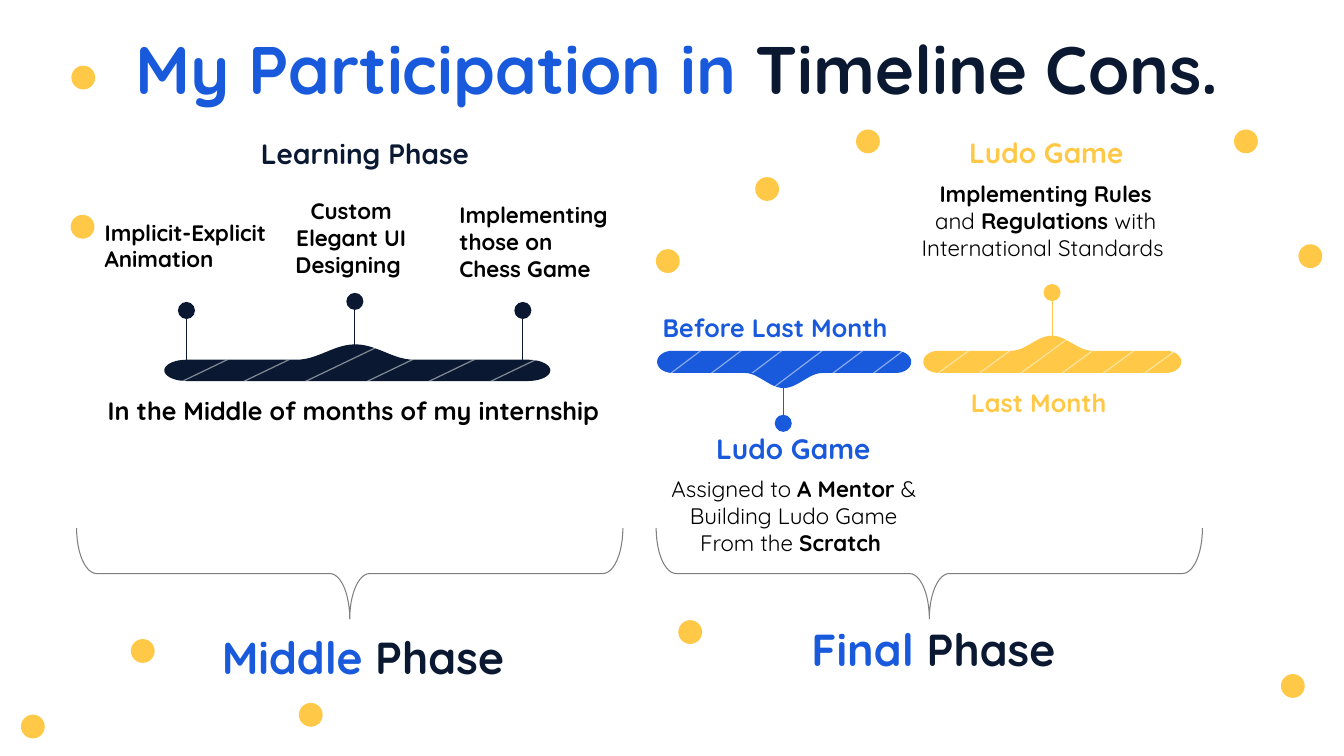
from math import cos, pi, sin

from lxml.etree import SubElement
from pptx import Presentation
from pptx.dml.color import RGBColor
from pptx.enum.shapes import MSO_CONNECTOR as CONN, MSO_SHAPE as SHAPE
from pptx.enum.text import MSO_AUTO_SIZE as FIT, PP_ALIGN as ALIGN
from pptx.oxml.ns import qn
from pptx.util import Pt

BLUE = RGBColor(0x18, 0x5A, 0xDB)
NAVY = RGBColor(0x0A, 0x19, 0x31)
YELLOW = RGBColor(0xFF, 0xC9, 0x47)
BLACK = RGBColor(0, 0, 0)
WHITE = RGBColor(0xFF, 0xFF, 0xFF)
GRAY = RGBColor(0x7F, 0x7F, 0x7F)

FONT = "Quicksand"
DOTS = [(59, 162), (620, 101), (59.5, 55.4), (102, 465), (222, 510.6), (890, 101),
        (548, 135), (936, 183), (923.5, 490), (23.5, 519), (493, 451.5), (477, 186.5)]
PINS = [(559.5, 265.7, 302.4, BLUE), (751.5, 239.8, 209, YELLOW), (253.5, 252, 215.3, NAVY),
        (133.2, 257.8, 221.8, NAVY), (373.5, 257.8, 221.8, NAVY)]


def add_text(s, box, size, runs, align=ALIGN.CENTER, inset=3.6, fit=FIT.SHAPE_TO_FIT_TEXT):
    tf = s.shapes.add_textbox(*map(Pt, box)).text_frame
    tf.word_wrap = True
    tf.auto_size = fit
    tf.margin_top = tf.margin_bottom = Pt(inset)
    p = tf.paragraphs[0]
    p.alignment = align
    for text, color, bold in runs:
        r = p.add_run()
        r.text = text
        r.font.name = FONT
        r.font.size = Pt(size)
        r.font.bold = bold
        r.font.color.rgb = color


def add_body(s, box, runs):
    add_text(s, box, 16, [(text, BLACK, bold) for text, bold in runs], fit=FIT.NONE)


def add_side_note(s, box, text):
    add_text(s, box, 16, [(text, BLACK, True)], ALIGN.LEFT, 7.2)


def paint(sp, color):
    sp.shadow.inherit = False
    sp.fill.solid()
    sp.fill.fore_color.rgb = color
    sp.line.fill.background()


def add_dot(s, x, y, size, color):
    sp = s.shapes.add_shape(SHAPE.OVAL, Pt(x - size / 2), Pt(y - size / 2), Pt(size), Pt(size))
    paint(sp, color)


def add_pin(s, x, y_bar, y_dot, color):
    line = s.shapes.add_connector(CONN.STRAIGHT, Pt(x), Pt(y_bar), Pt(x), Pt(y_dot))
    line.line.color.rgb = color
    line.line.width = Pt(0.75)
    SubElement(line._element.spPr, qn("a:effectLst"))
    add_dot(s, x, y_dot, 12.2, color)


def add_outline(s, contours, color):
    emu = [[(Pt(x), Pt(y)) for x, y in points] for points in contours]
    builder = s.shapes.build_freeform(*emu[0][0])
    builder.add_line_segments(emu[0][1:])
    for points in emu[1:]:
        builder.move_to(*points[0])
        builder.add_line_segments(points[1:])
    sp = builder.convert_to_shape()
    paint(sp, color)
    return sp


def add_bar(s, left, right, top, bottom, cap, center, half, bulge, color):
    mid, ry = (top + bottom) / 2, (bottom - top) / 2
    edge = top if bulge < 0 else bottom
    side = 1 if bulge > 0 else -1
    steps = range(25)
    left_cap = [(left + cap - cap * sin(pi * i / 24), mid - side * ry * cos(pi * i / 24))
                for i in steps]
    bump = [(center + half * (i / 12 - 1), edge + bulge * (1 - cos(pi * i / 12)) / 2)
            for i in steps]
    right_cap = [(right - cap + cap * sin(pi * i / 24), mid + side * ry * cos(pi * i / 24))
                 for i in steps]
    add_outline(s, [left_cap + bump + right_cap], color)


def add_stripes(s, first, step, run, top, bottom, width, long_one, extra):
    slope = run / (bottom - top)
    stripes = []
    for i in range(6):
        x = first + step * i
        reach = extra if i == long_one else 0
        y0, y1 = top + min(reach, 0), bottom + max(reach, 0)
        x0, x1 = x + (bottom - y0) * slope, x + (bottom - y1) * slope
        stripes.append([(x0, y0), (x0 + width, y0), (x1 + width, y1), (x1, y1), (x0, y0)])
    sp = add_outline(s, stripes, WHITE)
    clr = sp._element.spPr.find(qn("a:solidFill"))[0]
    SubElement(clr, qn("a:alpha"), val="49000")


def add_brace(s, x):
    sp = s.shapes.add_shape(SHAPE.RIGHT_BRACE, Pt(x), Pt(214.6), Pt(64.8), Pt(390.2))
    sp.rotation = 90
    sp.adjustments[0] = 0.22
    sp.adjustments[1] = 0.5
    sp.shadow.inherit = False
    sp.fill.background()
    sp.line.color.rgb = GRAY
    sp.line.width = Pt(0.75)


def main():
    prs = Presentation()
    prs.slide_width, prs.slide_height = Pt(960), Pt(540)
    s = prs.slides.add_slide(prs.slide_layouts[6])

    for x, y in DOTS:
        add_dot(s, x, y, 17, YELLOW)
    for pin in PINS:
        add_pin(s, *pin)

    add_bar(s, 117.4, 393.1, 257, 272.2, 15.8, 253.8, 42, -11, NAVY)
    add_stripes(s, 129.6, 44.06, 31.7, 257, 272.2, 2, 2, -9.4)
    add_bar(s, 469.4, 650.9, 250.6, 266.4, 10.8, 559.8, 28, 10.8, BLUE)
    add_stripes(s, 478.8, 28.94, 20.9, 250.6, 266.4, 1.4, 3, 10)
    add_bar(s, 659.5, 843.8, 250.6, 266.4, 10.8, 751.3, 29, -10.8, YELLOW)
    add_stripes(s, 669.6, 29.52, 21.6, 250.6, 266.4, 1.4, 2, -8.8)

    add_text(s, (79.9, 15.8, 807.1, 65.5), 48,
             [("My Participation in ", BLUE, True), ("Timeline Cons.", NAVY, True)])
    for x, y, phase, brace_x in [(146.2, 446.4, "Middle ", 217.4), (553.7, 440.6, "Final ", 631.4)]:
        add_brace(s, brace_x)
        add_text(s, (x, y, 226.1, 46.1), 32, [(phase, BLUE, True), ("Phase", NAVY, True)])

    for x, y, w, text, color in [
            (457.9, 219.6, 191.5, "Before Last Month", BLUE),
            (63.4, 278.6, 378, "In the Middle of months of my internship", BLACK),
            (685.4, 272.9, 118.1, "Last Month ", YELLOW)]:
        add_text(s, (x, y, w, 28.8), 18, [(text, color, True)])
    for x, y, w, text, color in [
            (491.8, 304.6, 149.8, "Ludo Game", BLUE),
            (92.2, 94.3, 337, "Learning Phase", NAVY),
            (672.5, 93.6, 149.8, "Ludo Game", YELLOW)]:
        add_text(s, (x, y, w, 31.7), 20, [(text, color, True)])

    add_body(s, (469.4, 336.2, 195.1, 46.1), [
        ("Assigned to ", False), ("A Mentor", True),
        (" & Building Ludo Game From the ", False), ("Scratch ", True)])
    add_body(s, (183.6, 137.5, 134.6, 46.1), [("Custom Elegant UI Designing ", True)])
    add_body(s, (649.4, 125.3, 195.1, 46.1), [
        ("Implementing Rules", True), (" and ", False), ("Regulations", True),
        (" with International Standards ", False)])
    add_side_note(s, (67.7, 149, 131.8, 53.3), "Implicit-Explicit Animation")
    add_side_note(s, (321.1, 136.8, 124.6, 72.7), "Implementing those on Chess Game")

    prs.save("out.pptx")


if __name__ == "__main__":
    main()
